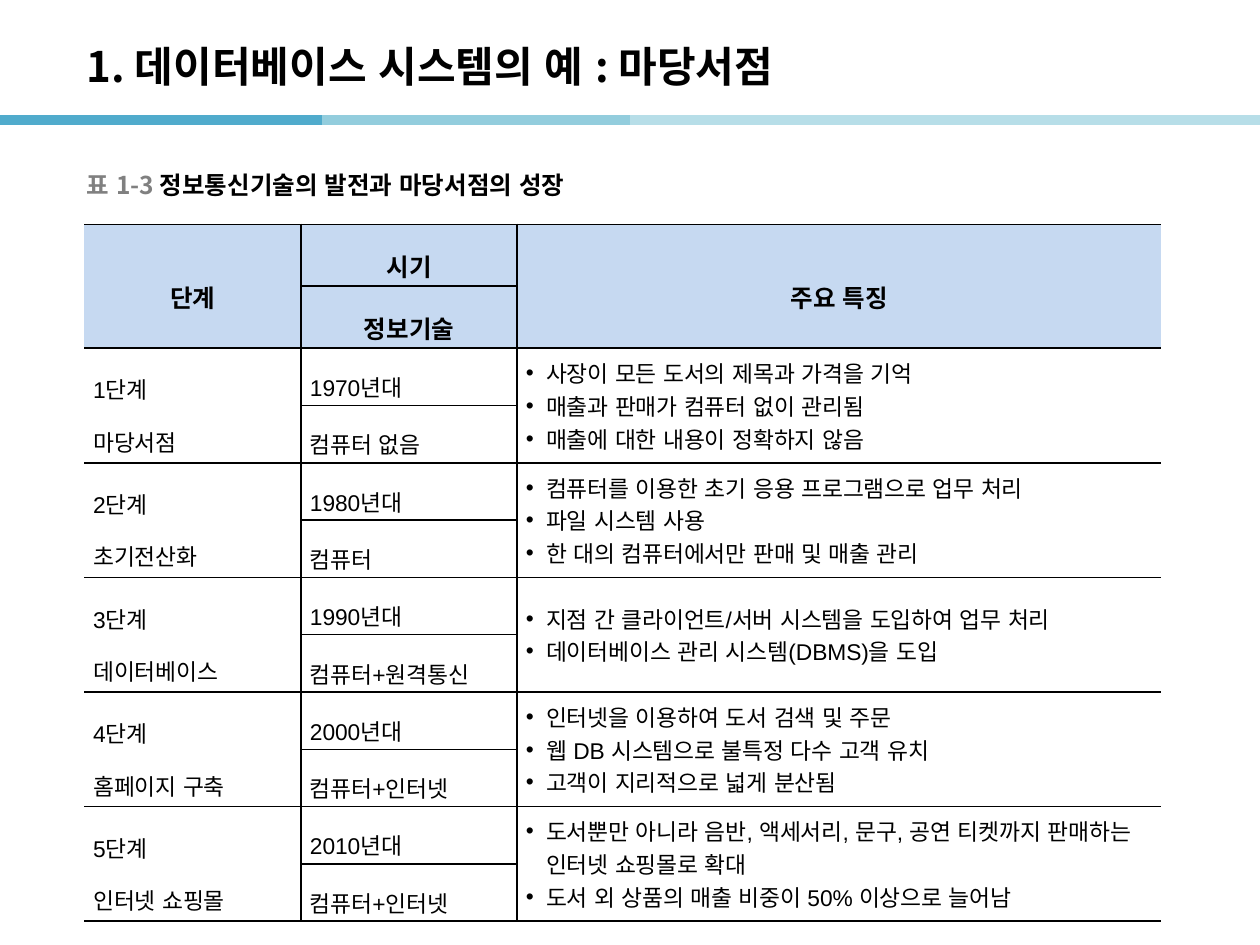
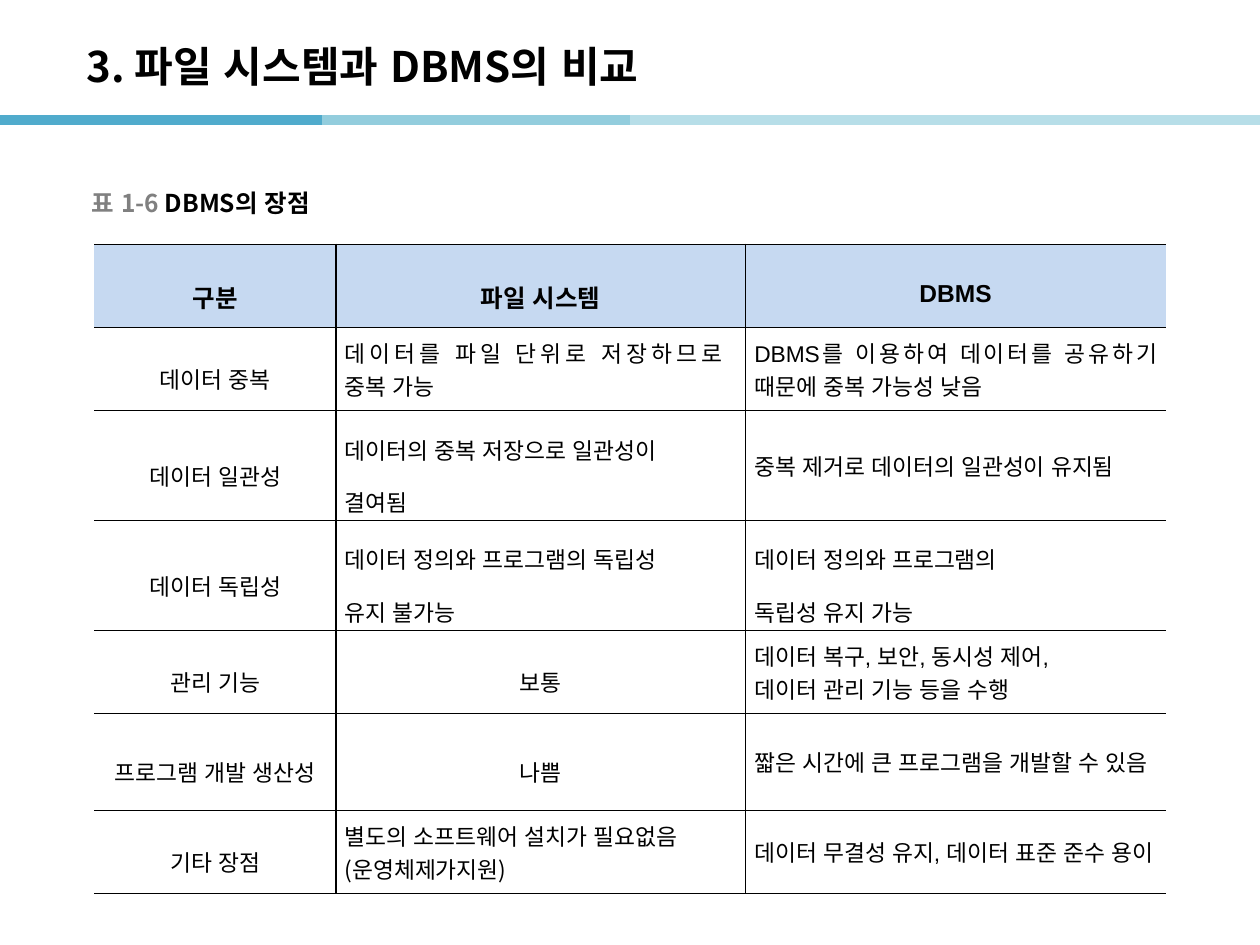
"""Build two Korean lecture slides, each a titled and captioned table on database systems."""
from dataclasses import dataclass

from lxml.etree import SubElement
from pptx import Presentation
from pptx.dml.color import RGBColor
from pptx.enum.lang import MSO_LANGUAGE_ID
from pptx.enum.text import MSO_ANCHOR, PP_ALIGN
from pptx.oxml.ns import qn
from pptx.util import Inches, Pt


@dataclass(frozen=True)
class Theme:
    ink: str = "000000"
    muted: str = "808080"
    header: str = "C6D9F1"
    bands: tuple = ("50ABCC", "93CDDD", "B7DEE8", "B7DEE8")
    heading_font: str = "Noto Sans CJK KR"
    body_font: str = "Arial"
    title_size: int = 24
    heading_size: int = 14
    body_size: int = 13
    band_width: int = 6
    rule_width: int = 1


THEME = Theme()
deck = Presentation()
deck.slide_width, deck.slide_height = Inches(10), Inches(7.5)
UNIT = deck.slide_width // 100


def grid(steps):
    """Return a length in steps of one hundredth of the slide's width."""
    return round(steps * UNIT)


def write(paragraph, text, size=THEME.body_size, font=THEME.body_font, color=THEME.ink,
          bold=False, align=PP_ALIGN.LEFT, spacing=None, bullet=None):
    """Add formatted text to a paragraph, with a line break at each newline."""
    paragraph.alignment = align
    if spacing:
        paragraph.line_spacing = spacing
    for index, line in enumerate(text.split("\n")):
        if index:
            paragraph.add_line_break()
        run = paragraph.add_run()
        run.text = line
        run.font.size, run.font.bold, run.font.name = Pt(size), bold, font
        run.font.language_id = MSO_LANGUAGE_ID.KOREAN
        run.font.color.rgb = RGBColor.from_string(color)
        run.font._element.set("kern", "0")
        SubElement(run.font._element, qn("a:ea"), typeface=THEME.heading_font)
    if bullet:
        properties = paragraph._p.get_or_add_pPr()
        properties.set("marL", str(grid(1.6)))
        properties.set("indent", str(-grid(1.6)))
        SubElement(properties, qn("a:buFont"), typeface=THEME.body_font)
        SubElement(properties, qn("a:buChar"), char=bullet)


HEADING = dict(size=THEME.heading_size, font=THEME.heading_font, bold=True)
HEAD = dict(HEADING, align=PP_ALIGN.CENTER, spacing=1.6)
HEAD_LATIN = dict(HEAD, font=THEME.body_font)
CENTERED = dict(align=PP_ALIGN.CENTER, spacing=1.6)
LOOSE = dict(spacing=1.6)
TIGHT = dict()
TIGHT_HEADING_FONT = dict(font=THEME.heading_font)
JUSTIFIED = dict(align=PP_ALIGN.JUSTIFY)
BULLETED = dict(bullet="•")

stages = [
    (["1단계", "마당서점"], "1970년대", "컴퓨터 없음",
     ["사장이 모든 도서의 제목과 가격을 기억", "매출과 판매가 컴퓨터 없이 관리됨",
      "매출에 대한 내용이 정확하지 않음"]),
    (["2단계", "초기전산화"], "1980년대", "컴퓨터",
     ["컴퓨터를 이용한 초기 응용 프로그램으로 업무 처리", "파일 시스템 사용",
      "한 대의 컴퓨터에서만 판매 및 매출 관리"]),
    (["3단계", "데이터베이스"], "1990년대", "컴퓨터+원격통신",
     ["지점 간 클라이언트/서버 시스템을 도입하여 업무 처리",
      "데이터베이스 관리 시스템(DBMS)을 도입"]),
    (["4단계", "홈페이지 구축"], "2000년대", "컴퓨터+인터넷",
     ["인터넷을 이용하여 도서 검색 및 주문", "웹 DB 시스템으로 불특정 다수 고객 유치",
      "고객이 지리적으로 넓게 분산됨"]),
    (["5단계", "인터넷 쇼핑몰"], "2010년대", "컴퓨터+인터넷",
     ["도서뿐만 아니라 음반, 액세서리, 문구, 공연 티켓까지 판매하는 인터넷 쇼핑몰로 확대",
      "도서 외 상품의 매출 비중이 50% 이상으로 늘어남"]),
]
growth_rows = [
    [(["단계"], HEAD), (["시기"], HEAD), (["주요 특징"], HEAD)],
    [None, (["정보기술"], HEAD), None],
]
for stage, era, technology, features in stages:
    growth_rows.append([(stage, LOOSE), ([era], LOOSE), (features, BULLETED)])
    growth_rows.append([None, ([technology], LOOSE), None])

comparisons = [
    ("데이터 중복", (["데이터를 파일 단위로 저장하므로 \n중복 가능"], JUSTIFIED),
     (["DBMS를 이용하여 데이터를 공유하기 때문에 중복 가능성 낮음"], JUSTIFIED)),
    ("데이터 일관성", (["데이터의 중복 저장으로 일관성이 \n결여됨"], LOOSE),
     (["중복 제거로 데이터의 일관성이 유지됨"], TIGHT)),
    ("데이터 독립성", (["데이터 정의와 프로그램의 독립성 \n유지 불가능"], LOOSE),
     (["데이터 정의와 프로그램의 \n독립성 유지 가능"], LOOSE)),
    ("관리 기능", (["보통"], CENTERED),
     (["데이터 복구, 보안, 동시성 제어, \n데이터 관리 기능 등을 수행"], TIGHT)),
    ("프로그램 개발 생산성", (["나쁨"], CENTERED),
     (["짧은 시간에 큰 프로그램을 개발할 수 있음"], TIGHT)),
    ("기타 장점", (["별도의 소프트웨어 설치가 필요없음", "(운영체제가지원)"], TIGHT_HEADING_FONT),
     (["데이터 무결성 유지, 데이터 표준 준수 용이"], TIGHT)),
]
comparison_rows = [[(["구분"], HEAD), (["파일 시스템"], HEAD), (["DBMS"], HEAD_LATIN)]]
for criterion, file_system, dbms in comparisons:
    comparison_rows.append([([criterion], CENTERED), file_system, dbms])

pages = [
    dict(title="1. 데이터베이스 시스템의 예 : 마당서점",
         number="표 1-3 ", caption="정보통신기술의 발전과 마당서점의 성장", caption_at=(5.9, 13.1),
         table_at=(6.7, 17.8), columns=(17.2, 17.15, 51.1), heights=(4.92,) * 2 + (4.55,) * 10,
         rows=growth_rows, header_rows=2),
    dict(title="3. 파일 시스템과 DBMS의 비교",
         number="표 1-6 ", caption="DBMS의 장점", caption_at=(6.3, 14.5),
         table_at=(7.47, 19.4), columns=(19.2, 32.5, 33.35),
         heights=(6.6, 6.6, 8.72, 8.72, 6.6, 7.7, 6.6),
         rows=comparison_rows, header_rows=1),
]

title_only = deck.slide_layouts[5]
for footer in list(title_only.placeholders)[1:]:
    footer.element.getparent().remove(footer.element)

for page in pages:
    slide = deck.slides.add_slide(title_only)

    if page is pages[0]:
        bands = []
        for start, color in zip((0, 25.55, 50, 74.6), THEME.bands):
            band = slide.shapes.add_connector(1, grid(start), grid(9.53), grid(start + 25.55), grid(9.53))
            band.line.color.rgb = RGBColor.from_string(color)
            band.line.width = Pt(THEME.band_width)
            SubElement(band.element.spPr, qn("a:effectLst"))
            bands.append(band)
        for band in bands:
            title_only.shapes.element.append(band.element)

    title = slide.shapes.title
    title.left, title.top, title.width, title.height = map(grid, (5.9, 2.2, 82.7, 6))
    title.text_frame.vertical_anchor = MSO_ANCHOR.MIDDLE
    write(title.text_frame.paragraphs[0], page["title"], **dict(HEADING, size=THEME.title_size))

    caption = slide.shapes.add_textbox(*map(grid, (*page["caption_at"], 42, 3.1))).text_frame
    caption.word_wrap = True
    caption.vertical_anchor = MSO_ANCHOR.MIDDLE
    write(caption.paragraphs[0], page["number"], color=THEME.muted, **HEADING)
    write(caption.paragraphs[0], page["caption"], **HEADING)

    rows, columns, heights = page["rows"], page["columns"], page["heights"]
    table = slide.shapes.add_table(len(rows), len(columns), *map(grid, (
        *page["table_at"], sum(columns), sum(heights)))).table
    table.first_row = table.horz_banding = False
    for column, width in zip(table.columns, columns):
        column.width = grid(width)
    for row, height in zip(table.rows, heights):
        row.height = grid(height)

    for r, row in enumerate(rows):
        for c, content in enumerate(row):
            cell = table.cell(r, c)
            cell.margin_left = cell.margin_right = grid(0.7)
            cell.margin_top = cell.margin_bottom = grid(0.2)
            cell.vertical_anchor = MSO_ANCHOR.MIDDLE
            ruled = {"L": c > 0, "R": c < len(columns) - 1, "T": True, "B": True}
            for side, visible in ruled.items():
                rule = SubElement(cell._tc.get_or_add_tcPr(), qn(f"a:ln{side}"),
                                  w=str(Pt(THEME.rule_width)))
                if visible:
                    SubElement(SubElement(rule, qn("a:solidFill")), qn("a:srgbClr"), val=THEME.ink)
                else:
                    SubElement(rule, qn("a:noFill"))
            if r < page["header_rows"]:
                cell.fill.solid()
                cell.fill.fore_color.rgb = RGBColor.from_string(THEME.header)
            else:
                cell.fill.background()
            if content is None:
                table.cell(r - 1, c).merge(cell)
                continue
            lines, style = content
            for index, line in enumerate(lines):
                frame = cell.text_frame
                write(frame.add_paragraph() if index else frame.paragraphs[0], line, **style)

deck.save("out.pptx")
